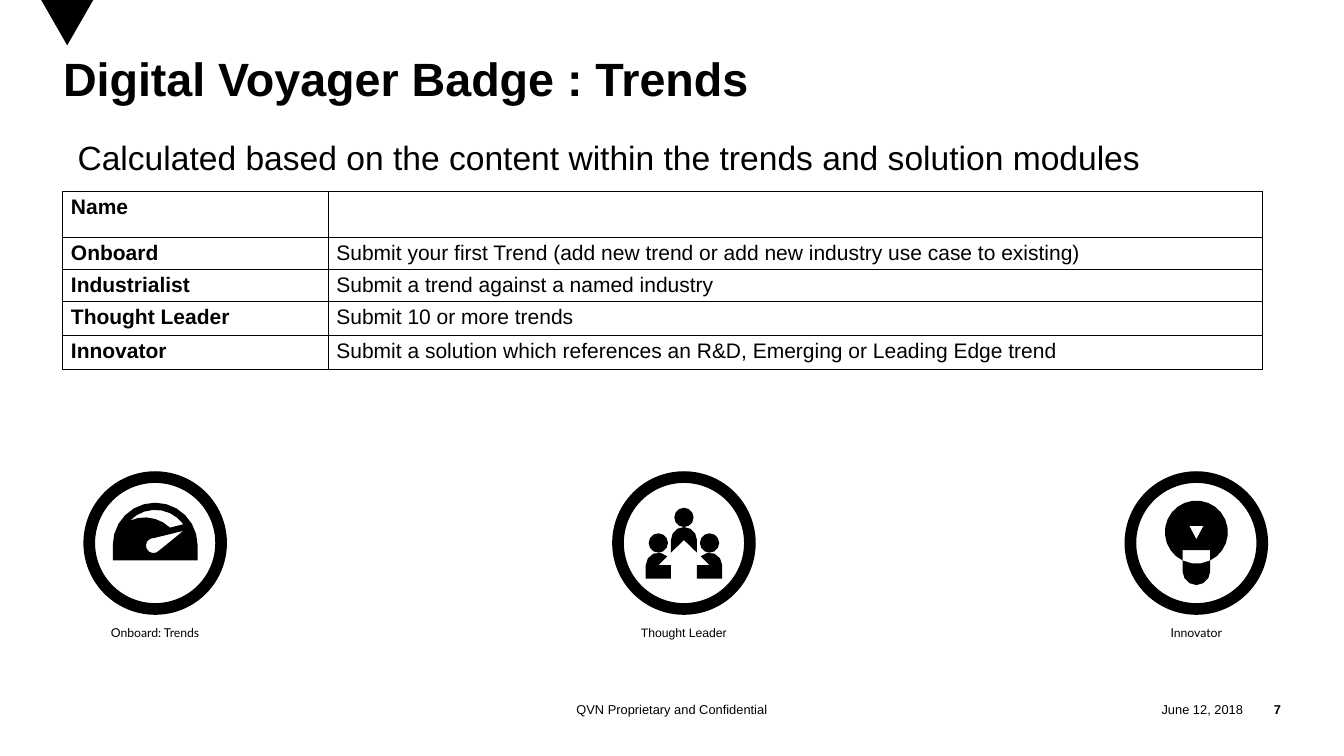
from dataclasses import dataclass
from math import cos, radians, sin

from lxml.etree import SubElement
from pptx import Presentation
from pptx.dml.color import RGBColor
from pptx.enum.shapes import MSO_SHAPE
from pptx.enum.text import MSO_ANCHOR, MSO_AUTO_SIZE, PP_ALIGN
from pptx.oxml.ns import qn
from pptx.util import Emu, Inches, Pt

COLORS = {"ink": "000000", "paper": "FFFFFF"}
SLIDE_WIDTH, SLIDE_HEIGHT = Inches(16), Inches(9)
COLUMNS, ROWS = 64, 36

Point = tuple[float, float]
Outline = list[Point]


@dataclass
class Label:
    text: str
    left: float
    top: float
    width: float
    height: float
    size: float
    align: PP_ALIGN = PP_ALIGN.LEFT
    bold: bool = False
    font: str = "Arial"
    anchor: MSO_ANCHOR = MSO_ANCHOR.MIDDLE
    margin: float = 0


@dataclass
class Badge:
    caption: str
    center: float
    font: str
    icon: list[Outline]


def columns(count: float) -> Emu:
    return Emu(round(SLIDE_WIDTH * count / COLUMNS))


def rows(count: float) -> Emu:
    return Emu(round(SLIDE_HEIGHT * count / ROWS))


def color(name: str) -> RGBColor:
    return RGBColor.from_string(COLORS[name])


def arc(x: float, y: float, radius: float, start: float, end: float) -> Outline:
    """Points along a circle; angles in degrees, clockwise from the right."""
    steps = round(abs(end - start) / (30 if radius < 1 else 15))
    angles = [radians(start + (end - start) * step / steps) for step in range(steps + 1)]
    return [(x + radius * cos(angle), y + radius * sin(angle)) for angle in angles]


def disc(x: float, y: float, radius: float) -> Outline:
    return arc(x, y, radius, 0, 330)


def gauge_icon() -> list[Outline]:
    dome = arc(0, 0.1, 2.02, 180, 360) + [(2.02, 0.82), (-2.02, 0.82)]
    needle = [(1.34, -0.58)] + arc(-0.08, 0.12, 0.36, 275, 40)
    window = arc(0, 0.08, 1.66, 324, 223) + arc(-0.5, 0.52, 1.74, 245, 314)
    return [dome, needle, window]


def people_icon() -> list[Outline]:
    chest = arc(0, -0.14, 0.62, 180, 360) + [(0.62, 0.46), (0, -0.14), (-0.62, 0.46)]
    outlines = [disc(0, -1.22, 0.46), chest]
    shoulder = arc(-1.22, 1.06, 0.6, 315, 180)
    side = shoulder + [(-1.82, 1.7), (-0.62, 1.7), (-0.62, 1.06), (-1.22, 1.06)]
    for mirror in (1, -1):
        outlines.append(disc(-1.22 * mirror, 0, 0.46))
        outlines.append([(x * mirror, y) for x, y in side])
    return outlines


def bulb_icon() -> list[Outline]:
    glass = arc(0, -0.52, 1.5, 116, 424) + [(0.66, 0.34), (-0.66, 0.34)]
    filament = [(-0.34, -0.82), (0.34, -0.82), (0, -0.18)]
    base = arc(0, -0.52, 1.5, 64, 116) + arc(0, 1.34, 0.66, 180, 0)
    return [glass, filament, base]


LABELS = [
    Label("June 12, 2018", 52.04, 33.16, 7.16, 1.2, 11, PP_ALIGN.RIGHT),
    Label("7", 59.2, 33.16, 1.8, 1.2, 11, PP_ALIGN.RIGHT, bold=True),
    Label("QVN Proprietary and Confidential", 21, 33.16, 22, 1.2, 11, PP_ALIGN.CENTER),
    Label("Calculated based on the content within the trends and solution modules",
          3.3, 6.32, 51.84, 2.36, 28.8, anchor=MSO_ANCHOR.TOP, margin=1),
]
BADGES = [
    Badge("Onboard: Trends", 7.39, "Lato", gauge_icon()),
    Badge("Thought Leader", 32.57, "Arial", people_icon()),
    Badge("Innovator", 56.97, "Lato", bulb_icon()),
]
LEVELS = [
    ("Name", ""),
    ("Onboard", "Submit your first Trend (add new trend or add new industry use case to existing)"),
    ("Industrialist", "Submit a trend against a named industry"),
    ("Thought Leader", "Submit 10 or more trends"),
    ("Innovator", "Submit a solution which references an R&D, Emerging or Leading Edge trend"),
]
LEVEL_COLUMNS = [12.64, 44.48]
LEVEL_ROWS = [2.19, 1.52, 1.52, 1.62, 1.64]
RING_ROW, RING_SIZE = 25.86, 6.28


def write_text(frame, text: str, *, size: float, font: str = "Arial", bold: bool = False,
               align: PP_ALIGN = PP_ALIGN.LEFT, spacing: float = 1) -> None:
    paragraph = frame.paragraphs[0]
    paragraph.alignment, paragraph.line_spacing = align, spacing
    run = paragraph.add_run()
    run.text = text
    run.font.size, run.font.name, run.font.bold = Pt(size), font, bold
    run.font.color.rgb = color("ink")


def set_frame(frame, anchor: MSO_ANCHOR, margin: float = 0) -> None:
    frame.word_wrap, frame.auto_size = True, MSO_AUTO_SIZE.NONE
    frame.vertical_anchor = anchor
    frame.margin_left = frame.margin_right = Inches(0.1 * margin)
    frame.margin_top = frame.margin_bottom = Inches(0.05 * margin)


def add_label(slide, label: Label) -> None:
    box = slide.shapes.add_textbox(columns(label.left), rows(label.top),
                                   columns(label.width), rows(label.height))
    set_frame(box.text_frame, label.anchor, label.margin)
    write_text(box.text_frame, label.text, size=label.size, font=label.font,
               bold=label.bold, align=label.align)


def add_outlines(slide, outlines: list[Outline], left: float = 0, top: float = 0) -> None:
    """Draw closed outlines as one black shape; inner ones become holes."""
    contours = [[(columns(left + x), rows(top + y)) for x, y in outline] for outline in outlines]
    builder = slide.shapes.build_freeform(*contours[0][0])
    for index, contour in enumerate(contours):
        if index:
            builder.move_to(*contour[0])
        builder.add_line_segments(contour[1:], close=True)
    shape = builder.convert_to_shape()
    shape.shadow.inherit = False
    shape.fill.solid()
    shape.fill.fore_color.rgb = color("ink")
    shape.line.fill.background()


def add_badge(slide, badge: Badge) -> None:
    ring = slide.shapes.add_shape(
        MSO_SHAPE.OVAL, columns(badge.center - RING_SIZE / 2), rows(RING_ROW - RING_SIZE / 2),
        columns(RING_SIZE), rows(RING_SIZE))
    ring.shadow.inherit = False
    ring.fill.solid()
    ring.fill.fore_color.rgb = color("paper")
    ring.line.color.rgb, ring.line.width = color("ink"), Pt(10)
    add_outlines(slide, badge.icon, badge.center, RING_ROW)
    add_label(slide, Label(badge.caption, badge.center - 3.28, 29.56, 6.56, 1.12, 10.5,
                           PP_ALIGN.CENTER, font=badge.font, anchor=MSO_ANCHOR.TOP, margin=1))


def border_cell(cell) -> None:
    properties = cell._tc.get_or_add_tcPr()
    for position, side in enumerate(("a:lnL", "a:lnR", "a:lnT", "a:lnB")):
        line = properties.makeelement(qn(side), {"w": str(Pt(1))})
        properties.insert(position, line)
        fill = SubElement(line, qn("a:solidFill"))
        SubElement(fill, qn("a:srgbClr"), val=COLORS["ink"])


def add_levels_table(slide) -> None:
    table = slide.shapes.add_table(
        len(LEVELS), len(LEVEL_COLUMNS), columns(2.98), rows(9.12),
        columns(sum(LEVEL_COLUMNS)), rows(sum(LEVEL_ROWS))).table
    table.first_row = table.horz_banding = False
    for column, width in zip(table.columns, LEVEL_COLUMNS):
        column.width = columns(width)
    for row, height, texts in zip(table.rows, LEVEL_ROWS, LEVELS):
        row.height = rows(height)
        for index, (cell, text) in enumerate(zip(row.cells, texts)):
            cell.fill.background()
            border_cell(cell)
            if text:
                write_text(cell.text_frame, text, size=18, bold=index == 0)


def main() -> None:
    presentation = Presentation()
    presentation.slide_width, presentation.slide_height = SLIDE_WIDTH, SLIDE_HEIGHT
    slide = presentation.slides.add_slide(presentation.slide_layouts[5])
    title = slide.shapes.title
    title.left, title.top, title.width, title.height = columns(3), rows(2.8), columns(58), rows(6.2)
    set_frame(title.text_frame, MSO_ANCHOR.TOP)
    write_text(title.text_frame, "Digital Voyager Badge : Trends", size=40, bold=True, spacing=0.85)
    add_outlines(slide, [[(1.96, 0), (3.2, 2.16), (4.44, 0)]])
    add_levels_table(slide)
    for label in LABELS:
        add_label(slide, label)
    for badge in BADGES:
        add_badge(slide, badge)
    presentation.save("out.pptx")


if __name__ == "__main__":
    main()
